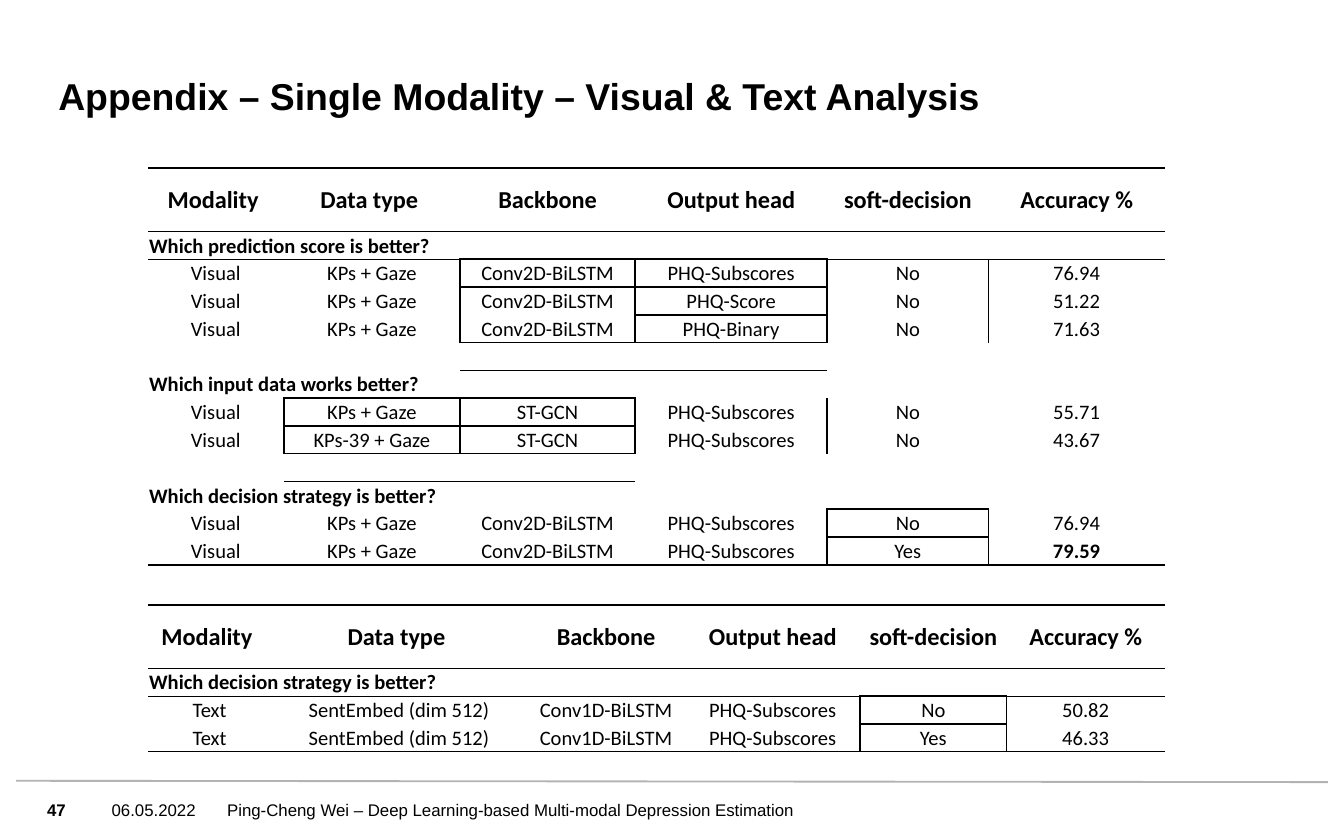
"""Build the appendix slide with the visual and text result tables."""
from collections import defaultdict

from lxml import etree
from pptx import Presentation
from pptx.dml.color import RGBColor
from pptx.enum.shapes import MSO_CONNECTOR
from pptx.enum.text import MSO_ANCHOR, MSO_AUTO_SIZE, PP_ALIGN
from pptx.oxml.ns import qn
from pptx.util import Pt

STRAIGHT = MSO_CONNECTOR.STRAIGHT
MIDDLE, BOTTOM = MSO_ANCHOR.MIDDLE, MSO_ANCHOR.BOTTOM
LEFT, CENTER = PP_ALIGN.LEFT, PP_ALIGN.CENTER
NO_AUTOSIZE = MSO_AUTO_SIZE.NONE
TITLE_ONLY = 5
NO_GRID_STYLE = "{2D5ABB26-0587-4C30-8999-92F81FD0307C}"

HEADER = ["Modality ", "Data type ", "Backbone", "Output head", "soft-decision", "Accuracy %"]
VISUAL_ROWS = [
    HEADER,
    ["Which prediction score is better?"],
    ["Visual", "KPs + Gaze", "Conv2D-BiLSTM", "PHQ-Subscores", "No", "76.94"],
    ["Visual", "KPs + Gaze", "Conv2D-BiLSTM", "PHQ-Score", "No", "51.22"],
    ["Visual", "KPs + Gaze", "Conv2D-BiLSTM", "PHQ-Binary", "No", "71.63"],
    [""] * 6,
    ["Which input data works better?"],
    ["Visual", "KPs + Gaze", "ST-GCN", "PHQ-Subscores", "No", "55.71"],
    ["Visual", "KPs-39 + Gaze", "ST-GCN", "PHQ-Subscores", "No", "43.67"],
    [""] * 6,
    ["Which decision strategy is better?"],
    ["Visual", "KPs + Gaze", "Conv2D-BiLSTM", "PHQ-Subscores", "No", "76.94"],
    ["Visual", "KPs + Gaze", "Conv2D-BiLSTM", "PHQ-Subscores", "Yes", "79.59"],
]
TEXT_ROWS = [
    HEADER,
    ["Which decision strategy is better?"],
    ["Text", "SentEmbed (dim 512)", "Conv1D-BiLSTM", "PHQ-Subscores", "No", "50.82"],
    ["Text", "SentEmbed (dim 512)", "Conv1D-BiLSTM", "PHQ-Subscores", "Yes", "46.33"],
]
VISUAL_BOXES = [(2, 4, 2), (2, 2, 3), (3, 3, 3), (4, 4, 3),
                (7, 8, 2), (7, 7, 1), (8, 8, 1), (11, 11, 4), (12, 12, 4)]
TEXT_BOXES = [(2, 2, 4), (3, 3, 4)]


def color(value):
    """Return the colour for a hex string."""
    return RGBColor.from_string(value)


def write(paragraph, text, *, size, font, bold=False, align=LEFT, fill="000000"):
    """Write formatted text into a paragraph."""
    paragraph.alignment = align
    if not text:
        etree.SubElement(paragraph._p, qn("a:endParaRPr"), sz=str(size * 100))
        return
    run = paragraph.add_run()
    run.text = text
    run.font.size = Pt(size)
    run.font.name = font
    run.font.bold = bold
    run.font.color.rgb = color(fill)


def table_borders(row_count, column_count, boxes):
    """Map each cell to the widths of its drawn sides."""
    borders = defaultdict(dict)
    for column in range(column_count):
        borders[0, column].update(T=1, B=0.5)
        borders[1, column]["T"] = 0.5
        borders[row_count - 1, column]["B"] = 1
    for first, last, column in boxes:
        for row in range(first, last + 1):
            borders[row, column].update(L=1, R=1)
            borders[row, column - 1]["R"] = 1
            borders[row, column + 1]["L"] = 1
        borders[first, column]["T"] = 1
        borders[last, column]["B"] = 1
        borders[first - 1, column]["B"] = 1
        if last + 1 < row_count:
            borders[last + 1, column]["T"] = 1
    return borders


def draw_borders(cell, widths):
    """Draw the given sides of a cell in black."""
    properties = cell._tc.get_or_add_tcPr()
    sides = [side for side in "LRTB" if side in widths]
    for index, side in enumerate(sides):
        line = etree.Element(qn(f"a:ln{side}"), w=str(int(Pt(widths[side]))))
        fill = etree.SubElement(line, qn("a:solidFill"))
        etree.SubElement(fill, qn("a:srgbClr"), val="000000")
        properties.insert(index, line)


class SlideBuilder:
    """Hold the style and the current slide."""

    heading_font = "Arial"
    table_font = "Calibri"
    header_height = 34
    row_height = 14.9
    cell_margin = 0.7

    def __init__(self, slide):
        """Keep the slide to draw on."""
        self.slide = slide

    def frame(self, shape, box, text, anchor, **style):
        """Place a text shape and fill its frame without insets."""
        shape.left, shape.top, shape.width, shape.height = map(Pt, box)
        frame = shape.text_frame
        frame.margin_left = frame.margin_right = frame.margin_top = frame.margin_bottom = 0
        frame.word_wrap = True
        frame.auto_size = NO_AUTOSIZE
        frame.vertical_anchor = anchor
        write(frame.paragraphs[0], text, font=self.heading_font, **style)

    def title(self, text, box):
        """Fill the title placeholder."""
        self.frame(self.slide.shapes.title, box, text, BOTTOM, size=20, bold=True)

    def footer(self, text, left, width, bold=False):
        """Add one text of the footer row."""
        box = (left, 419.8, width, 28)
        shape = self.slide.shapes.add_textbox(*map(Pt, box))
        self.frame(shape, box, text, MIDDLE, size=9, bold=bold)

    def line(self, *ends):
        """Add a thin grey line."""
        connector = self.slide.shapes.add_connector(STRAIGHT, *map(Pt, ends))
        connector.line.color.rgb = color("B3B3B3")
        connector.line.width = Pt(1)
        etree.SubElement(connector._element.spPr, qn("a:effectLst"))

    def table(self, top, rows, column_widths, boxes, bold_cells=()):
        """Add a result table with boxed comparison cells."""
        heights = [self.header_height] + [self.row_height] * (len(rows) - 1)
        size = (79.2, top, sum(column_widths), sum(heights))
        graphic = self.slide.shapes.add_table(len(rows), len(column_widths), *map(Pt, size))
        table = graphic.table
        table.first_row = table.horz_banding = False
        table._tbl.tblPr.find(qn("a:tableStyleId")).text = NO_GRID_STYLE
        for column, width in zip(table.columns, column_widths):
            column.width = Pt(width)
        borders = table_borders(len(rows), len(column_widths), boxes)
        for row, texts in enumerate(rows):
            table.rows[row].height = Pt(heights[row])
            section = len(texts) == 1
            for column in range(len(column_widths)):
                cell = table.cell(row, column)
                cell.fill.background()
                cell.vertical_anchor = MIDDLE
                cell.margin_left = cell.margin_right = cell.margin_top = Pt(self.cell_margin)
                cell.margin_bottom = 0
                draw_borders(cell, borders[row, column])
                write(cell.text_frame.paragraphs[0],
                      texts[column] if column < len(texts) else "",
                      size=13 if row == 0 else 11, font=self.table_font,
                      bold=row == 0 or section or (row, column) in bold_cells,
                      align=LEFT if section else CENTER)
            if section:
                table.cell(row, 0).merge(table.cell(row, len(column_widths) - 1))


def main():
    """Build and save the presentation."""
    presentation = Presentation()
    presentation.slide_width, presentation.slide_height = Pt(720), Pt(450)
    slide = presentation.slides.add_slide(presentation.slide_layouts[TITLE_ONLY])
    builder = SlideBuilder(slide)
    builder.title("Appendix – Single Modality – Visual & Text Analysis", (31.2, 26.6, 544.3, 36.7))
    builder.table(90, VISUAL_ROWS, [72.8, 94.5, 93.8, 102.9, 86.4, 94.4],
                  VISUAL_BOXES, bold_cells={(12, 5)})
    builder.table(324, TEXT_ROWS, [66.2, 136.8, 85, 93.6, 78.5, 84.7], TEXT_BOXES)
    builder.line(8.6, 418.3, 711.4, 419)
    builder.footer("47", 25.2, 26, bold=True)
    builder.footer("06.05.2022", 59.8, 60)
    builder.footer("Ping-Cheng Wei – Deep Learning-based Multi-modal Depression Estimation", 121.7, 374.4)
    presentation.save("out.pptx")


if __name__ == "__main__":
    main()
